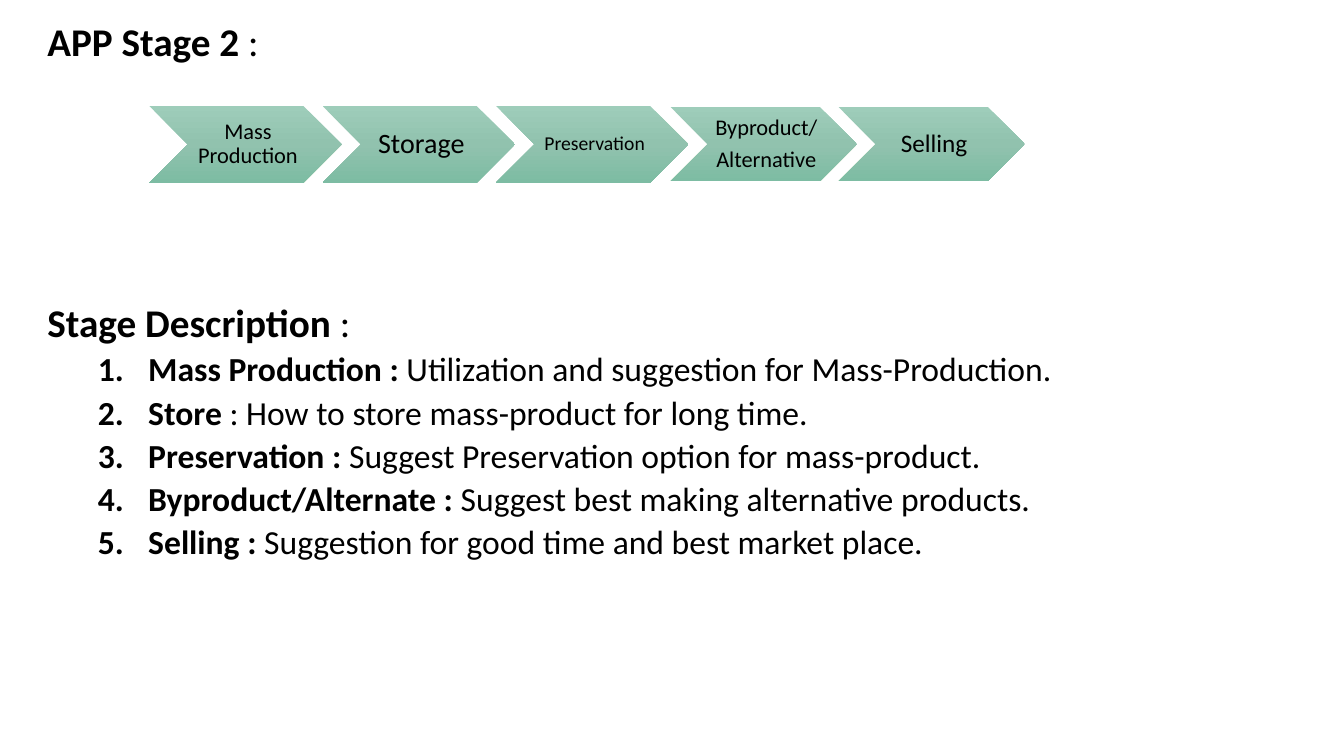
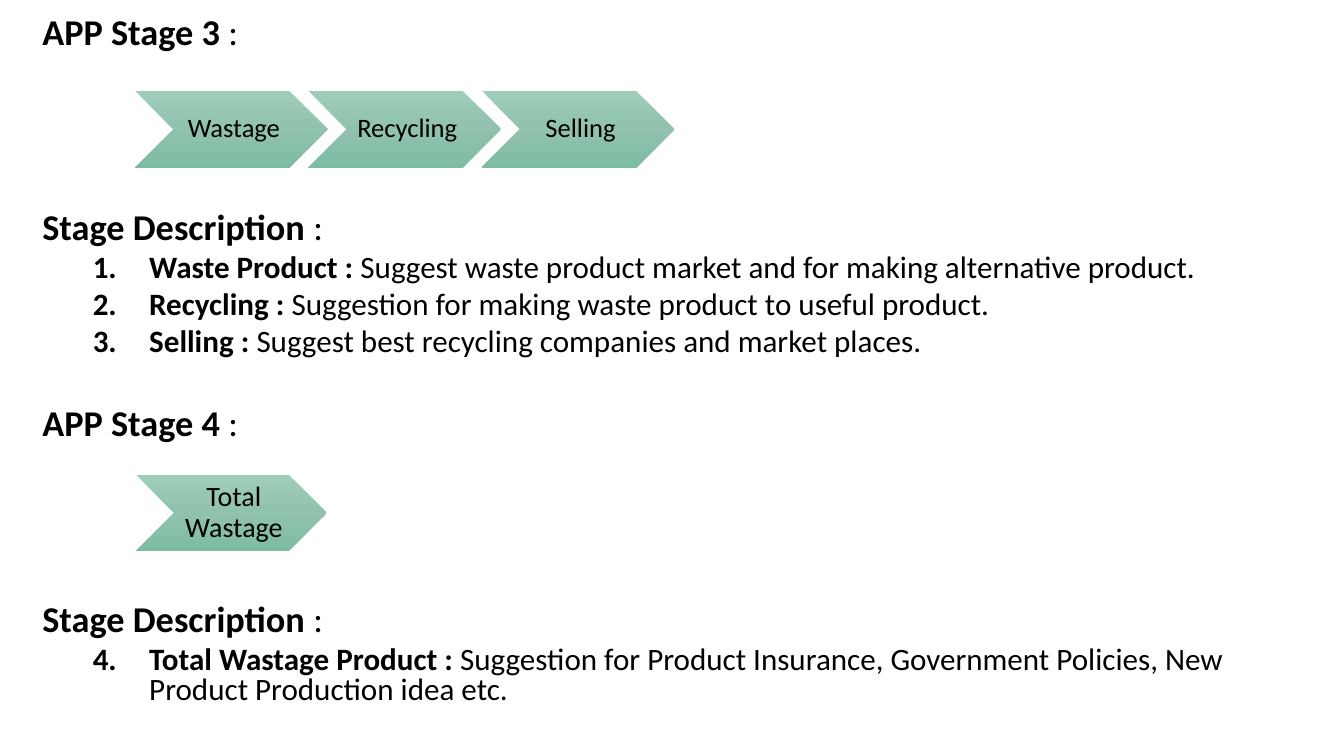
"""Build two slides that describe the stages of a farm product app."""
from dataclasses import dataclass

from lxml import etree
from pptx import Presentation
from pptx.dml.color import RGBColor
from pptx.enum.shapes import MSO_SHAPE as Preset
from pptx.enum.text import MSO_ANCHOR as Anchor, MSO_AUTO_SIZE as AutoSize, PP_ALIGN as Align
from pptx.oxml import parse_xml
from pptx.oxml.ns import nsdecls, qn
from pptx.util import Inches, Pt


@dataclass(frozen=True)
class Theme:
    font: str = "Calibri"
    ink: str = "000000"
    gradient: tuple = ((0, "9ECDBA"), (50, "91C2AE"), (100, "7DBCA3"))
    item_gap: float = 5
    label_line: float = 0.9
    label_gap: float = 5.6
    chevron_height: float = 0.4
    chevron_pitch: float = 0.9


THEME = Theme()
DESCRIPTION = "Stage Description "

SLIDES = [
    {
        "title": "APP Stage 2 ",
        "title_at": (0.37, 0.17, 12.58, 0.6),
        "body_at": (0.37, 2.96, 12.58, 4.19),
        "heading_size": 28, "item_size": 24, "line": 0.9, "margin": 1, "hang": 0.5,
        "sections": [
            (0, DESCRIPTION, 1, [
                ("Mass Production : ", "Utilization and suggestion for Mass-Production."),
                ("Store ", ": How to store mass-product for long time."),
                ("Preservation : ", "Suggest Preservation option for mass-product."),
                ("Byproduct/Alternate : ", "Suggest best making alternative products."),
                ("Selling : ", "Suggestion for good time and best market place."),
            ]),
        ],
        "rows": [
            (1.48, 1.05, 1.91, [("Mass Production", 16), ("Storage", 20), ("Preservation", 14)]),
            (6.65, 1.06, 1.85, [("Byproduct/\nAlternative", 16), ("Selling", 18)]),
        ],
    },
    {
        "title": "APP Stage 3 ",
        "title_at": (0.32, 0.12, 12.8, 0.6),
        "body_at": (0.32, 2.06, 12.8, 5.36),
        "heading_size": 25.9, "item_size": 22.2, "line": 0.8, "margin": 1.06, "hang": 0.56,
        "sections": [
            (0, DESCRIPTION, 1, [
                ("Waste Product : ",
                 "Suggest waste product market and for making alternative product."),
                ("Recycling : ", "Suggestion for making waste product to useful product."),
                ("Selling : ", "Suggest best recycling companies and market places."),
            ]),
            (36.5, "APP Stage 4 ", 1, []),
            (115, DESCRIPTION, 4, [
                ("Total Wastage Product : ",
                 "Suggestion for Product Insurance, Government Policies, "
                 "New Product Production idea etc."),
            ]),
        ],
        "rows": [
            (1.34, 0.9, 1.91, [("Wastage", 19), ("Recycling", 19), ("Selling", 19)]),
            (1.35, 4.71, 1.89, [("Total Wastage", 20)]),
        ],
    },
]


def add_span(para, text, size, bold=False):
    span = para.add_run()
    span.text = text
    span.font.name = THEME.font
    span.font.size = Pt(size)
    span.font.bold = bold
    span.font.color.rgb = RGBColor.from_string(THEME.ink)


def next_para(frame, started):
    return frame.add_paragraph() if started else frame.paragraphs[0]


def format_para(para, line, before, margin=0, hang=0, number=None):
    para.line_spacing = line
    para.space_before = Pt(before)
    para.space_after = Pt(0)
    para.alignment = Align.LEFT
    props = para._p.get_or_add_pPr()
    props.set("marL", str(Inches(margin)))
    props.set("indent", str(-Inches(hang)))
    if number is None:
        etree.SubElement(props, qn("a:buNone"))
    else:
        etree.SubElement(props, qn("a:buFont"), typeface=THEME.font)
        etree.SubElement(props, qn("a:buAutoNum"), type="arabicPeriod", startAt=str(number))


def place(box, position):
    box.left, box.top, box.width, box.height = map(Inches, position)
    frame = box.text_frame
    frame.word_wrap = True
    frame.auto_size = AutoSize.NONE
    frame.vertical_anchor = Anchor.TOP
    return frame


def add_heading(para, text, content, before):
    format_para(para, content["line"], before)
    add_span(para, text, content["heading_size"], True)
    add_span(para, ":", content["heading_size"])


def fill_body(frame, content):
    for index, (before, heading, start, items) in enumerate(content["sections"]):
        add_heading(next_para(frame, index), heading, content, before)
        for term, detail in items:
            para = frame.add_paragraph()
            para.level = 1
            format_para(para, content["line"], THEME.item_gap,
                        content["margin"], content["hang"], start)
            add_span(para, term, content["item_size"], True)
            add_span(para, detail, content["item_size"])


def paint_gradient(shape):
    stops = "".join(
        f'<a:gs pos="{pos * 1000}"><a:srgbClr val="{color}"/></a:gs>'
        for pos, color in THEME.gradient)
    shape._element.spPr.append(parse_xml(
        f'<a:gradFill {nsdecls("a")} rotWithShape="1"><a:gsLst>{stops}</a:gsLst>'
        '<a:lin ang="5400000" scaled="0"/></a:gradFill>'))


def add_chevron(page, left, top, width, label, size):
    shape = page.shapes.add_shape(
        Preset.CHEVRON, Inches(left), Inches(top),
        Inches(width), Inches(width * THEME.chevron_height))
    paint_gradient(shape)
    shape.line.fill.background()
    shape.shadow.inherit = False
    frame = shape.text_frame
    frame.word_wrap = True
    frame.vertical_anchor = Anchor.MIDDLE
    frame.margin_left = Inches(0.07)
    frame.margin_right = frame.margin_top = frame.margin_bottom = Inches(0.02)
    for index, text in enumerate(label.split("\n")):
        para = next_para(frame, index)
        para.alignment = Align.CENTER
        para.line_spacing = THEME.label_line
        para.space_before = Pt(THEME.label_gap if index else 0)
        add_span(para, text, size)


def build_page(deck, content):
    page = deck.slides.add_slide(deck.slide_layouts[1])
    title = place(page.shapes.title, content["title_at"])
    add_heading(title.paragraphs[0], content["title"], content, 0)
    fill_body(place(page.placeholders[1], content["body_at"]), content)
    for left, top, width, steps in content["rows"]:
        for index, (label, size) in enumerate(steps):
            add_chevron(page, left + index * width * THEME.chevron_pitch,
                        top, width, label, size)


def main():
    deck = Presentation()
    deck.slide_width, deck.slide_height = Inches(13.33), Inches(7.5)
    for content in SLIDES:
        build_page(deck, content)
    deck.save("out.pptx")


if __name__ == "__main__":
    main()
